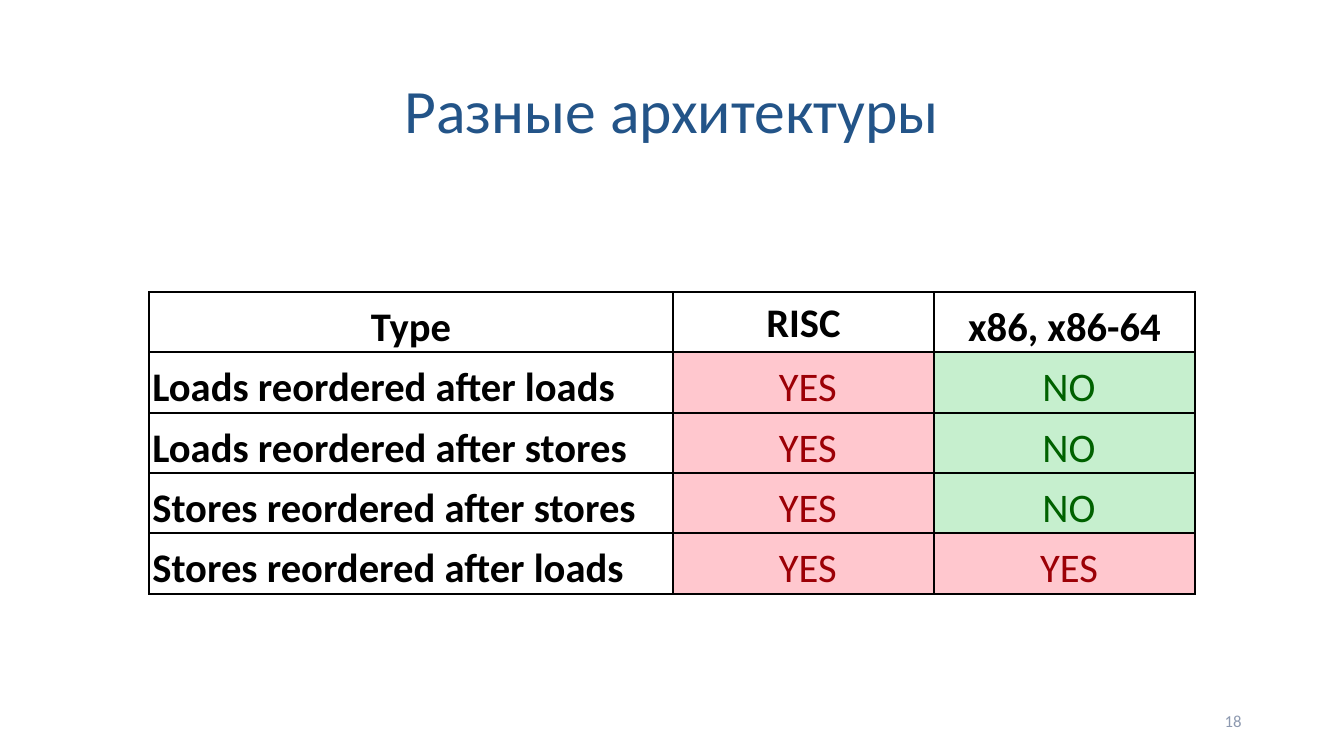
from dataclasses import dataclass

from lxml import etree
from pptx import Presentation
from pptx.dml.color import RGBColor
from pptx.enum.text import MSO_ANCHOR, PP_ALIGN
from pptx.oxml.ns import qn
from pptx.util import Cm, Pt

LEFT, CENTER, RIGHT = PP_ALIGN.LEFT, PP_ALIGN.CENTER, PP_ALIGN.RIGHT
MIDDLE, BOTTOM = MSO_ANCHOR.MIDDLE, MSO_ANCHOR.BOTTOM
TITLE_ONLY = 5


@dataclass(frozen=True)
class Theme:
    font: str = "Calibri"
    title_size: int = 44
    table_size: int = 29
    number_size: int = 12
    border_width: float = 1.5
    title: str = "235488"
    number: str = "8D99B0"
    text: str = "000000"
    paper: str = "FFFFFF"
    yes_text: str = "9C0006"
    yes_fill: str = "FFC7CE"
    no_text: str = "006100"
    no_fill: str = "C6EFCE"


THEME = Theme()
ANSWERS = {
    "YES": (THEME.yes_text, THEME.yes_fill),
    "NO": (THEME.no_text, THEME.no_fill),
}
HEADERS = ("Type", "RISC", "x86, x86-64")
REORDERINGS = (
    ("Loads reordered after loads", "YES", "NO"),
    ("Loads reordered after stores", "YES", "NO"),
    ("Stores reordered after stores", "YES", "NO"),
    ("Stores reordered after loads", "YES", "YES"),
)
COLUMN_WIDTHS = (Cm(13.2), Cm(6.58), Cm(6.58))
ROW_HEIGHT = Cm(1.52)


def write(frame, text, size, color, align, bold=False):
    frame.text = text
    para = frame.paragraphs[0]
    para.alignment = align
    para.font.name = THEME.font
    para.font.size = Pt(size)
    para.font.bold = bold
    para.font.color.rgb = RGBColor.from_string(color)
    return para


def add_title(page, text):
    title = page.shapes.title
    title.left, title.top, title.width, title.height = Cm(2.33), Cm(1.01), Cm(29.21), Cm(3.68)
    title.text_frame.vertical_anchor = MIDDLE
    para = write(title.text_frame, text, THEME.title_size, THEME.title, CENTER)
    para.line_spacing = 0.9


def add_page_number(page, text):
    box = page.shapes.add_textbox(Cm(23.92), Cm(17.65), Cm(7.62), Cm(1.01))
    box.text_frame.word_wrap = True
    box.text_frame.vertical_anchor = MIDDLE
    write(box.text_frame, text, THEME.number_size, THEME.number, RIGHT)


def draw_borders(cell):
    properties = cell._tc.get_or_add_tcPr()
    for side in ("a:lnL", "a:lnR", "a:lnT", "a:lnB"):
        line = etree.SubElement(properties, qn(side), w=str(Pt(THEME.border_width)))
        fill = etree.SubElement(line, qn("a:solidFill"))
        etree.SubElement(fill, qn("a:srgbClr"), val=THEME.text)


def fill_cell(cell, text, align, anchor=BOTTOM):
    is_answer = text in ANSWERS
    color, background = ANSWERS.get(text, (THEME.text, THEME.paper))
    draw_borders(cell)
    cell.fill.solid()
    cell.fill.fore_color.rgb = RGBColor.from_string(background)
    cell.margin_left = Cm(0.3) if is_answer else Cm(0.08)
    cell.margin_right = cell.margin_top = Cm(0.08)
    cell.margin_bottom = 0
    cell.vertical_anchor = anchor
    write(cell.text_frame, text, THEME.table_size, color, align, bold=not is_answer)


def add_reordering_table(page):
    rows = (HEADERS, *REORDERINGS)
    frame = page.shapes.add_table(
        len(rows), len(HEADERS), Cm(3.76), Cm(7.36), sum(COLUMN_WIDTHS), ROW_HEIGHT * len(rows)
    )
    table = frame.table
    table.first_row = table.horz_banding = False
    for column, width in zip(table.columns, COLUMN_WIDTHS):
        column.width = width
    for row_index, texts in enumerate(rows):
        table.rows[row_index].height = ROW_HEIGHT
        for column_index, text in enumerate(texts):
            is_label = row_index > 0 and column_index == 0
            anchor = MIDDLE if text == "RISC" else BOTTOM
            fill_cell(table.cell(row_index, column_index), text, LEFT if is_label else CENTER, anchor)


def main():
    deck = Presentation()
    deck.slide_width, deck.slide_height = Cm(33.87), Cm(19.05)
    page = deck.slides.add_slide(deck.slide_layouts[TITLE_ONLY])
    add_title(page, "Разные архитектуры")
    add_page_number(page, "18")
    add_reordering_table(page)
    deck.save("out.pptx")


if __name__ == "__main__":
    main()
